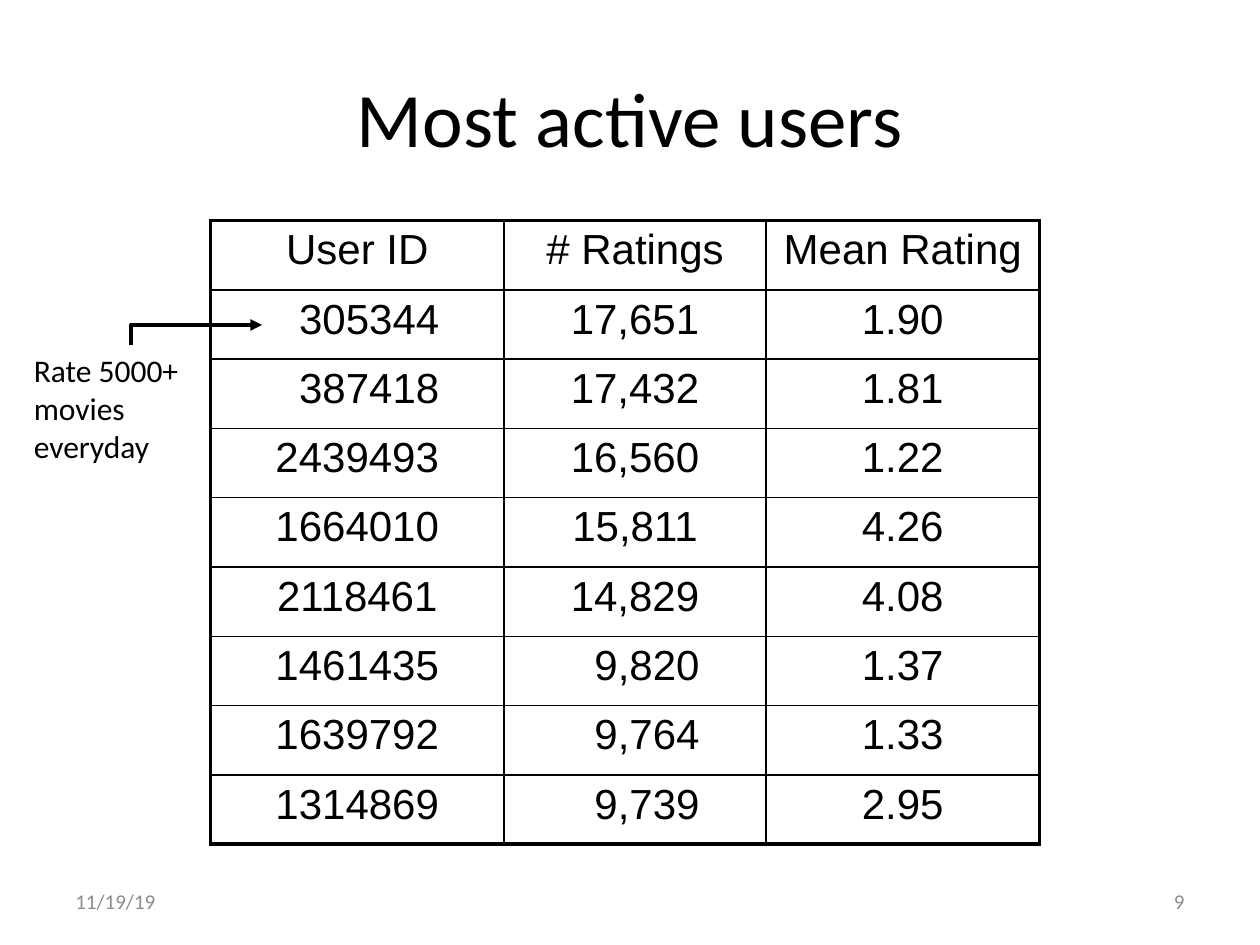
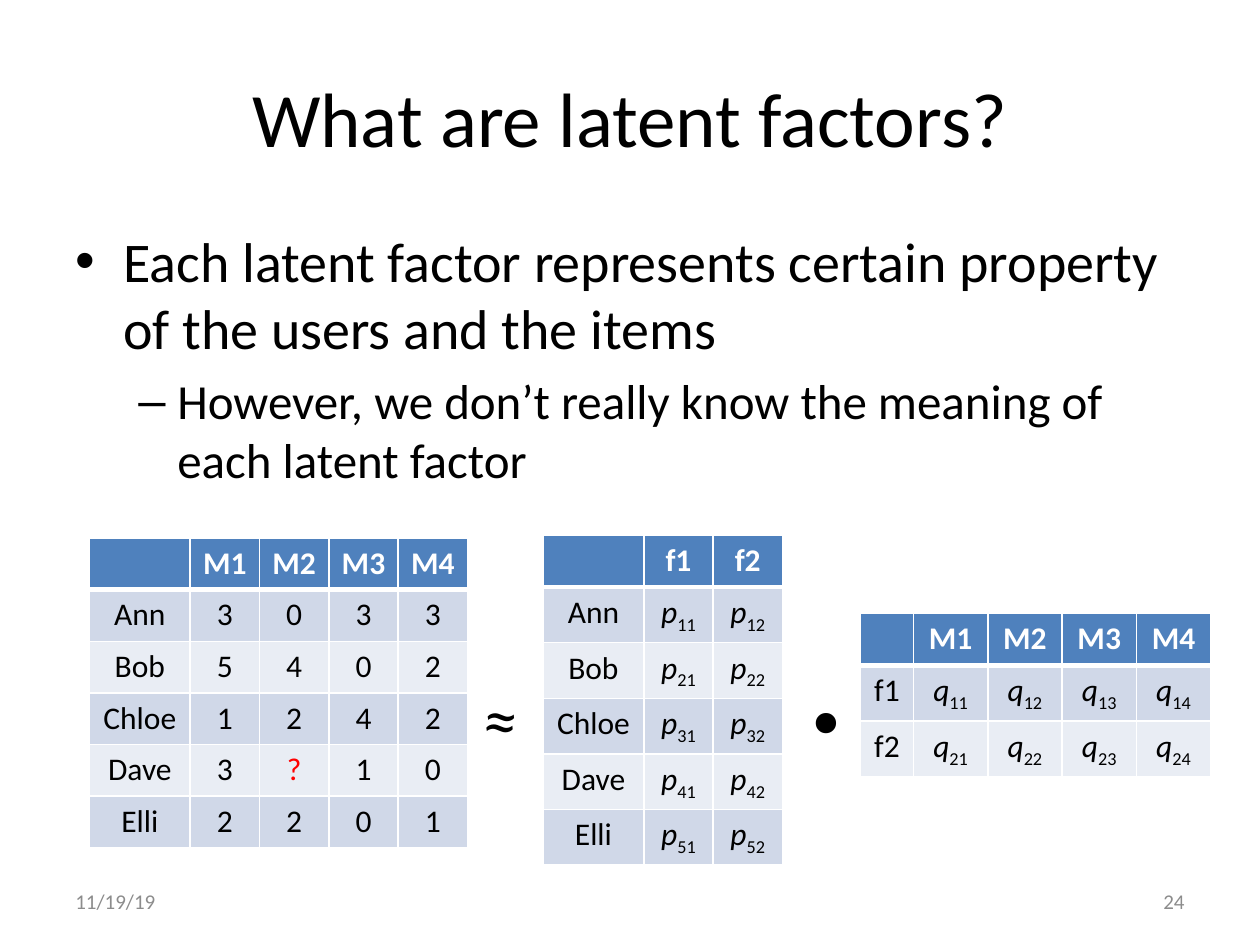
from lxml.etree import SubElement as Sub
from pptx import Presentation
from pptx.dml.color import RGBColor as RGB
from pptx.enum.shapes import MSO_CONNECTOR as Link
from pptx.enum.text import MSO_ANCHOR as Anchor, PP_ALIGN as Align
from pptx.oxml.ns import qn
from pptx.util import Inches, Pt

HUES = {"ink": "000000", "gray": "8C8C8C", "head": "4F81BD", "odd": "D0D8E8",
        "even": "E9EDF4", "white": "FFFFFF", "red": "FF0000"}
DATE = "11/19/19"
NAMES = ["Ann", "Bob", "Chloe", "Dave", "Elli"]
FILMS = ["M1", "M2", "M3", "M4"]
FACTORS = ["f1", "f2"]
SCORES = ["3033", "5402", "1242", "3?10", "2201"]
USERS = [
    ("User ID", "# Ratings", "Mean Rating"),
    ("305344", "17,651", "1.90"),
    ("387418", "17,432", "1.81"),
    ("2439493", "16,560", "1.22"),
    ("1664010", "15,811", "4.26"),
    ("2118461", "14,829", "4.08"),
    ("1461435", "9,820", "1.37"),
    ("1639792", "9,764", "1.33"),
    ("1314869", "9,739", "2.95"),
]


def style(para, size, hue="ink", face="Calibri", align=Align.LEFT, bold=False):
    font = para.font
    font.name, font.size, font.bold = face, Pt(size), bold
    font.color.rgb = RGB.from_string(HUES[hue])
    para.alignment = align


def indent(para, left, first=0.0, mark=None):
    props = para._p.get_or_add_pPr()
    props.set("marL", str(Inches(left)))
    props.set("indent", str(Inches(first)))
    if mark:
        font = Sub(props, qn("a:buFont"), typeface="Arial")
        sign = Sub(props, qn("a:buChar"), char=mark)
        # Bullets come before the default font in the schema
        base = props.find(qn("a:defRPr"))
        if base is not None:
            base.addprevious(font)
            base.addprevious(sign)


def label(slide, box, text, size, hue="ink", align=Align.LEFT,
          anchor=Anchor.TOP, wrap=True):
    frame = slide.shapes.add_textbox(*map(Inches, box)).text_frame
    frame.word_wrap, frame.vertical_anchor = wrap, anchor
    para = frame.paragraphs[0]
    para.text = text
    style(para, size, hue, align=align)
    return para


def start(deck, title, number):
    """Add a slide with its title, date and number."""
    slide = deck.slides.add_slide(deck.slide_layouts[5])
    head = slide.shapes.title
    head.left, head.top, head.width, head.height = map(
        Inches, (0.5, 0.3, 9, 1.25))
    head.text_frame.text = title
    head.text_frame.vertical_anchor = Anchor.MIDDLE
    style(head.text_frame.paragraphs[0], 44, align=Align.CENTER)
    for left, text, align in ((0.5, DATE, Align.LEFT),
                              (7.17, str(number), Align.RIGHT)):
        label(slide, (left, 6.95, 2.33, 0.4), text, 12, "gray", align,
              Anchor.MIDDLE)
    return slide


def edge(cell, hue, **widths):
    """Draw the L, R, T and B borders, in points."""
    props = cell._tc.get_or_add_tcPr()
    for spot, side in enumerate("LRTB"):
        line = Sub(props, qn("a:ln" + side), w=str(Pt(widths[side])))
        fill = Sub(line, qn("a:solidFill"))
        Sub(fill, qn("a:srgbClr"), val=HUES[hue])
        props.insert(spot, line)


def grid(slide, left, top, widths, height, count):
    table = slide.shapes.add_table(
        count, len(widths), Inches(left), Inches(top),
        Inches(sum(widths)), Inches(height * count)).table
    table.first_row = table.horz_banding = False
    for col, width in zip(table.columns, widths):
        col.width = Inches(width)
    for row in table.rows:
        row.height = Inches(height)
    return table


def ranking(slide, left, top):
    """Framed table of users; short numbers are set right by two spaces."""
    table = grid(slide, left, top, (2.33, 2.08, 2.17), 0.55, len(USERS))
    last = len(USERS) - 1
    longest = [max(len(row[c]) for row in USERS[1:]) for c in range(3)]
    for r, row in enumerate(USERS):
        for c, text in enumerate(row):
            cell = table.cell(r, c)
            cell.fill.background()
            edge(cell, "ink", L=1 if c else 2.25, R=2.25 if c == 2 else 1,
                 T=1 if r else 2.25, B=2.25 if r == last else 1)
            para = cell.text_frame.paragraphs[0]
            para.text = text
            para.space_before = Pt(4.8)
            style(para, 24, face="Arial", align=Align.CENTER)
            if r and len(text) < longest[c]:
                indent(para, 0.19)


def remark(slide, left, top):
    """Note with an elbow arrow that leads to the first user."""
    label(slide, (left, top, 1.75, 1.01), "Rate 5000+ movies everyday", 18)
    # The elbow is laid out upright about its centre, then turned by 90°
    wide, high = 0.16, 1.04
    mid, level = left + 0.87 + high / 2, top - wide / 2
    arrow = slide.shapes.add_connector(
        Link.ELBOW, Inches(mid + wide / 2), Inches(level + high / 2),
        Inches(mid - wide / 2), Inches(level - high / 2))
    arrow.line.width = Pt(2.25)
    arrow.line.color.rgb = RGB.from_string(HUES["ink"])
    props = arrow._element.spPr
    props.find(qn("a:xfrm")).set("rot", "5400000")
    props.find(qn("a:prstGeom")).set("prst", "bentConnector2")
    Sub(props.find(qn("a:ln")), qn("a:tailEnd"), type="triangle")
    Sub(props, qn("a:effectLst"))


def points(slide, box):
    frame = slide.shapes.add_textbox(*map(Inches, box)).text_frame
    frame.word_wrap = True
    items = (
        ("Each latent factor represents certain property of the users "
         "and the items", 32, 0.38, -0.38, "•"),
        ("However, we don’t really know the meaning of each latent factor",
         28, 0.81, -0.31, "–"),
    )
    for level, (text, size, left, first, mark) in enumerate(items):
        para = frame.add_paragraph() if level else frame.paragraphs[0]
        para.text, para.level = text, level
        para.space_before = Pt(size * 0.2)
        style(para, size)
        indent(para, left, first, mark)


def matrix(slide, left, top, first, width, heads, names, body):
    """Banded table; a (letter, index) entry gets a subscript."""
    rows = [["", *heads]] + [[name, *row] for name, row in zip(names, body)]
    table = grid(slide, left, top, [first] + [width] * len(heads), 0.41,
                 len(rows))
    for r, row in enumerate(rows):
        band = ("odd" if r % 2 else "even") if r else "head"
        for c, item in enumerate(row):
            cell = table.cell(r, c)
            cell.fill.solid()
            cell.fill.fore_color.rgb = RGB.from_string(HUES[band])
            edge(cell, "white", L=1, R=1, T=1 if r != 1 else 3,
                 B=1 if r else 3)
            para = cell.text_frame.paragraphs[0]
            hue = "red" if item == "?" else "ink" if r else "white"
            style(para, 18, hue, align=Align.CENTER, bold=not r)
            if isinstance(item, tuple):
                base, sub = para.add_run(), para.add_run()
                base.text, sub.text = item
                base.font.italic = True
                sub._r.get_or_add_rPr().set("baseline", "-25000")
            elif item:
                para.text = item


def entries(letter, rows, cols):
    return [[(letter, f"{r}{c}") for c in range(1, cols + 1)]
            for r in range(1, rows + 1)]


def product(slide, left, top):
    """Ratings ≈ user factors ∙ film factors."""
    matrix(slide, left, top + 0.02, 0.8, 0.55, FILMS, NAMES, SCORES)
    matrix(slide, left + 3.6, top, 0.8, 0.55, FACTORS, NAMES,
           entries("p", 5, 2))
    matrix(slide, left + 6.12, top + 0.62, 0.42, 0.59, FILMS, FACTORS,
           entries("q", 2, 4))
    for shift, width, sign in ((3.02, 0.48, "≈"), (5.58, 0.34, "∙")):
        para = label(slide, (left + shift, top + 1.06, width, 0.77), sign, 40,
                     wrap=False)
        para.font.italic = True


def main():
    deck = Presentation()
    deck.slide_width, deck.slide_height = Inches(10), Inches(7.5)

    # Most active users
    slide = start(deck, "Most active users", 9)
    ranking(slide, 1.67, 1.75)
    remark(slide, 0.17, 2.74)

    # Latent factors
    slide = start(deck, "What are latent factors?", 24)
    points(slide, (0.5, 1.75, 9, 4.95))
    product(slide, 0.71, 4.25)

    deck.save("out.pptx")


if __name__ == "__main__":
    main()
